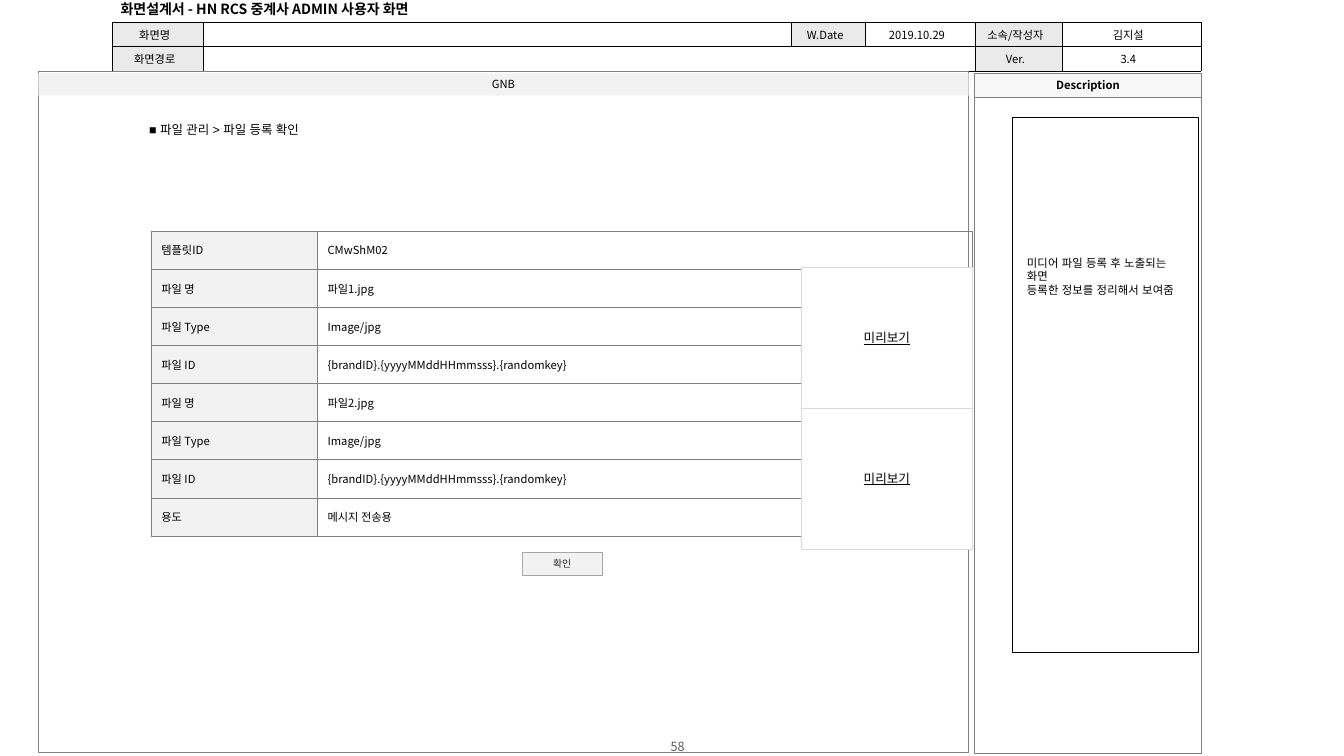
"""Build the file registration confirmation page of a screen design document."""
import pptx
import pptx.dml.color
import pptx.enum.shapes
import pptx.enum.text
import pptx.oxml.ns
import pptx.util
from lxml import etree

Cm = pptx.util.Cm
Pt = pptx.util.Pt
qn = pptx.oxml.ns.qn
color = pptx.dml.color.RGBColor.from_string
LEFT = pptx.enum.text.PP_ALIGN.LEFT
CENTER = pptx.enum.text.PP_ALIGN.CENTER
MIDDLE = pptx.enum.text.MSO_ANCHOR.MIDDLE
TOP = pptx.enum.text.MSO_ANCHOR.TOP
NOTO = "Noto Sans CJK KR"


def write_text(frame, text, align, ink="000000", **font):
    """Fill a text frame, one paragraph per line of text."""
    font = {"name": NOTO, "size": Pt(8), "bold": False, **font}
    for number, line in enumerate(text.split("\n")):
        para = frame.paragraphs[0] if number == 0 else frame.add_paragraph()
        para.alignment = align
        if not line:
            etree.SubElement(para._p, qn("a:endParaRPr"), sz=str(int(font["size"].pt * 100)))
            continue
        span = para.add_run()
        span.text = line
        for key, value in font.items():
            setattr(span.font, key, value)
        span.font.color.rgb = color(ink)
        etree.SubElement(span._r.rPr, qn("a:ea"), typeface=font["name"])


def add_border(cell, ink):
    """Draw a thin line on all four sides of a table cell."""
    for side in ("a:lnL", "a:lnR", "a:lnT", "a:lnB"):
        line = etree.SubElement(cell._tc.get_or_add_tcPr(), qn(side), w=str(Pt(0.25)))
        solid = etree.SubElement(line, qn("a:solidFill"))
        etree.SubElement(solid, qn("a:srgbClr"), val=ink)


deck = pptx.Presentation()
deck.slide_width, deck.slide_height = Cm(33.87), Cm(19.05)
page = deck.slides.add_slide(deck.slide_layouts[5])

title = page.shapes.title
title.left, title.top, title.width, title.height = Cm(2.79), Cm(-0.1), Cm(8.81), Cm(0.66)
title_format = {
    "margin_left": Cm(0.25), "margin_right": Cm(0.25), "margin_top": Cm(0.1), "margin_bottom": Cm(0.1),
    "vertical_anchor": MIDDLE, "word_wrap": False, "auto_size": pptx.enum.text.MSO_AUTO_SIZE.NONE,
}
for key, value in title_format.items():
    setattr(title.text_frame, key, value)
write_text(title.text_frame, "화면설계서 - HN RCS 중계사 ADMIN 사용자 화면", LEFT, size=Pt(10), bold=True)

file_id = "{brandID}.{yyyyMMddHHmmsss}.{randomkey}"
header_rows = [
    ["화면명", "", "W.Date", "2019.10.29", "소속/작성자", "김지설"],
    ["화면경로", "", "", "", "Ver.", "3.4"],
]
file_rows = [["템플릿ID", "CMwShM02"]]
for number in (1, 2):
    file_rows += [["파일 명", f"파일{number}.jpg"], ["파일 Type", "Image/jpg"], ["파일 ID", file_id]]
file_rows.append(["용도", "메시지 전송용"])

header_margins = {"margin_left": Cm(0.1), "margin_right": Cm(0.25), "margin_top": Cm(0.1), "margin_bottom": Cm(0.1)}
tables = [
    (header_rows, 2.83, 0.56, [2.29, 14.82, 1.86, 2.77, 2.19, 3.5], 0.6,
     {0, 2, 4}, "EAEAEA", "000000", CENTER, header_margins),
    (file_rows, 3.81, 5.82, [4.19, 16.51], 0.96, {0}, "F2F2F2", "808080", LEFT, {}),
]
grids = []
for rows, left, top, widths, height, labels, label_fill, ink, align, margins in tables:
    grid = page.shapes.add_table(len(rows), len(widths), Cm(left), Cm(top),
                                 Cm(sum(widths)), Cm(height * len(rows))).table
    grid.first_row = grid.horz_banding = False
    for column, width in zip(grid.columns, widths):
        column.width = Cm(width)
    for row, texts in zip(grid.rows, rows):
        row.height = Cm(height)
        for position, (cell, text) in enumerate(zip(row.cells, texts)):
            for key, value in {"vertical_anchor": MIDDLE, **margins}.items():
                setattr(cell, key, value)
            add_border(cell, ink)
            if position in labels:
                cell.fill.solid()
                cell.fill.fore_color.rgb = color(label_fill)
            else:
                cell.fill.background()
            write_text(cell.text_frame, text, align)
    grids.append(grid)
grids[0].cell(1, 1).merge(grids[0].cell(1, 3))

panels = [
    ((0.97, 1.8, 23.44, 17.15), None, "808080", "", {}),
    ((24.56, 2.44, 5.72, 16.54), None, "808080", "", {}),
    ((24.56, 1.85, 5.72, 0.61), "F8F8F8", "808080", "Description", {"bold": True}),
    ((0.97, 1.85, 23.44, 0.56), "F2F2F2", None, "GNB", {}),
    ((25.5, 2.95, 4.7, 13.49), None, "000000", "", {}),
    ((13.16, 13.92, 2.01, 0.58), "F2F2F2", "A6A6A6", "확인", {"name": "Arial", "size": Pt(7), "ink": "262626"}),
]
for number in range(2):
    panels.append(((20.19, 6.73 + 3.55 * number, 4.32, 3.55), "FFFFFF", "D9D9D9", "미리보기",
                   {"name": "Arial", "size": Pt(9), "underline": True}))
for area, fill, outline, text, font in panels:
    box = page.shapes.add_shape(pptx.enum.shapes.MSO_SHAPE.RECTANGLE, *map(Cm, area))
    box.shadow.inherit = False
    if fill:
        box.fill.solid()
        box.fill.fore_color.rgb = color(fill)
    else:
        box.fill.background()
    if outline:
        box.line.width = Pt(0.25)
        box.line.color.rgb = color(outline)
    else:
        box.line.fill.background()
    if text:
        frame_format = {"vertical_anchor": MIDDLE, "margin_top": 0, "margin_bottom": 0}
        for key, value in frame_format.items():
            setattr(box.text_frame, key, value)
        write_text(box.text_frame, text, CENTER, **font)

captions = [
    ((3.51, 2.95, 7.37, 0.64), "■ 파일 관리 > 파일 등록 확인", LEFT, TOP, 0.13,
     {"name": "Arial", "size": Pt(8.9)}),
    ((25.63, 6.32, 4.39, 1.65), "미디어 파일 등록 후 노출되는 화면\n등록한 정보를 정리해서 보여줌", LEFT, TOP, 0.13,
     {"name": "Arial", "size": Pt(8.1)}),
    ((13.13, 18.64, 7.9, 0.33), "58", CENTER, MIDDLE, 0, {"size": Pt(9), "ink": "595959"}),
]
for area, text, align, anchor, margin, font in captions:
    box = page.shapes.add_textbox(*map(Cm, area))
    frame_format = {"word_wrap": True, "vertical_anchor": anchor, "margin_top": Cm(margin), "margin_bottom": Cm(margin)}
    for key, value in frame_format.items():
        setattr(box.text_frame, key, value)
    write_text(box.text_frame, text, align, **font)

deck.save("out.pptx")
